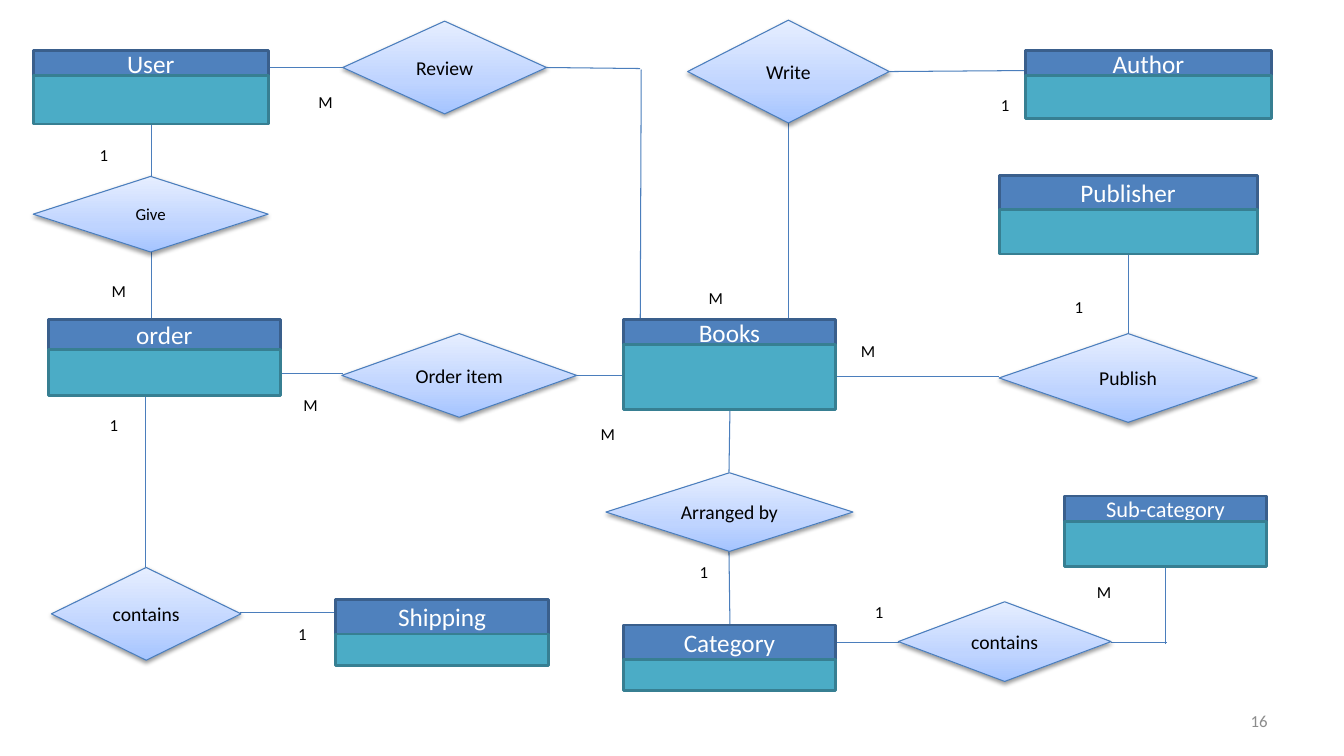
"""Build the bookshop entity-relationship diagram slide."""
from pptx import Presentation
from pptx import util as u
from pptx.dml.color import RGBColor
from pptx.enum import shapes, text
from pptx.oxml import parse_xml
from pptx.oxml.ns import qn

COLORS = {
    "head": "4F81BD", "head_edge": "3A5F8C",
    "body": "4BACC6", "body_edge": "377F92",
    "relation_edge": "4B7EBC", "shadow": "000000",
    "white": "FFFFFF", "black": "000000", "page": "8C8C8C",
}
RELATION_STOPS = {0: "A4C4FF", 35: "BFD4FF", 100: "E6EEFF"}
DRAWING_NS = 'xmlns:a="http://schemas.openxmlformats.org/drawingml/2006/main"'
LEFT, CENTER, RIGHT = text.PP_ALIGN.LEFT, text.PP_ALIGN.CENTER, text.PP_ALIGN.RIGHT

ENTITIES = [
    ("User", (0.33, 0.5, 2.33, 0.73), 0.25, 18),
    ("Books", (6.18, 3.17, 2.11, 0.89), 0.25, 18),
    ("Author", (10.17, 0.5, 2.44, 0.68), 0.25, 18),
    ("Publisher", (9.91, 1.74, 2.56, 0.78), 0.34, 18),
    ("Category", (6.18, 6.2, 2.11, 0.65), 0.34, 18),
    ("Sub-category", (10.56, 4.92, 2, 0.7), 0.25, 16),
    ("order", (0.48, 3.17, 2.3, 0.75), 0.3, 18),
    ("Shipping", (3.33, 5.95, 2.11, 0.65), 0.34, 18),
]
RELATIONS = [
    ("Review", (3.4, 0.21, 2.02, 0.92), 14),
    ("Write", (6.82, 0.2, 2, 1.02), 14),
    ("Publish", (9.91, 3.31, 2.56, 0.88), 14),
    ("Arranged by", (6.01, 4.69, 2.45, 0.78), 14),
    ("contains", (8.91, 5.97, 2.11, 0.79), 14),
    ("Give", (0.33, 1.75, 2.33, 0.75), 12),
    ("Order item", (3.39, 3.31, 2.33, 0.83), 14),
    ("contains", (0.51, 5.63, 1.88, 0.92), 14),
]
CARDINALITIES = [
    ("M", (2.96, 0.93, 0.44, 0.17), RIGHT),
    ("M", (2.91, 3.86, 0.34, 0.31), RIGHT),
    ("1", (10.56, 2.92, 0.56, 0.25), LEFT),
    ("M", (8.44, 3.36, 0.56, 0.25), LEFT),
    ("1", (0.89, 1.41, 0.33, 0.25), LEFT),
    ("1", (9.72, 0.94, 0.39, 0.2), RIGHT),
    ("M", (6.83, 2.87, 0.44, 0.17), RIGHT),
    ("M", (5.86, 4.19, 0.48, 0.23), LEFT),
    ("1", (6.84, 5.52, 0.27, 0.31), LEFT),
    ("M", (10.78, 5.75, 0.44, 0.25), LEFT),
    ("M", (1.01, 2.76, 0.44, 0.25), LEFT),
    ("1", (0.99, 4.09, 0.33, 0.25), LEFT),
    ("1", (2.86, 6.16, 0.33, 0.25), LEFT),
    ("1", (8.58, 5.91, 0.27, 0.31), LEFT),
]
LINKS = [
    (2.66, 0.67, 3.4, 0.67), (5.42, 0.67, 6.35, 0.68), (6.36, 0.69, 6.35, 3.17),
    (1.5, 1.23, 1.5, 1.75), (1.5, 2.5, 1.5, 3.17), (2.78, 3.71, 3.4, 3.71),
    (5.72, 3.73, 6.18, 3.73), (8.29, 3.74, 9.91, 3.74), (11.19, 3.31, 11.19, 2.52),
    (7.82, 1.22, 7.82, 3.17), (8.82, 0.71, 10.17, 0.7), (7.24, 4.06, 7.23, 4.69),
    (7.23, 5.47, 7.24, 6.2), (8.29, 6.37, 8.96, 6.37), (11.02, 6.37, 11.57, 6.37),
    (11.56, 6.39, 11.56, 5.62), (1.44, 3.92, 1.44, 5.66), (2.38, 6.08, 3.33, 6.08),
]


def rgb(name):
    """Return the named colour."""
    return RGBColor.from_string(COLORS[name])


def inches(box):
    """Convert a tuple of lengths to Inches."""
    return [u.Inches(length) for length in box]


def write(shape, words, size, color, align=CENTER):
    """Put one line of formatted words in the middle of a shape."""
    frame = shape.text_frame
    frame.word_wrap = True
    frame.vertical_anchor = text.MSO_ANCHOR.MIDDLE
    line = frame.paragraphs[0]
    line.alignment = align
    run = line.add_run()
    run.text = words
    run.font.color.rgb = rgb(color)
    for key, value in {"name": "Calibri", "size": u.Pt(size)}.items():
        setattr(run.font, key, value)


def panel(slide, box, fill, edge):
    """Add a flat rectangle with a two-point edge."""
    rect = slide.shapes.add_shape(shapes.MSO_SHAPE.RECTANGLE, *inches(box))
    rect.shadow.inherit = False
    rect.fill.solid()
    rect.fill.fore_color.rgb = rgb(fill)
    rect.line.color.rgb = rgb(edge)
    rect.line.width = u.Pt(2)
    return rect


def entity(slide, box, name, head_height, size):
    """Add an entity: a named head above an empty body."""
    left, top, width, height = box
    head = panel(slide, (left, top, width, head_height), "head", "head_edge")
    write(head, name, size, "white")
    body = (left, top + head_height, width, height - head_height)
    panel(slide, body, "body", "body_edge")


def relation(slide, box, name, size):
    """Add a relation: a shaded diamond with a soft shadow."""
    diamond = slide.shapes.add_shape(
        shapes.MSO_SHAPE.FLOWCHART_DECISION, *inches(box))
    stops = "".join(
        f'<a:gs pos="{place * 1000}"><a:srgbClr val="{color}"/></a:gs>'
        for place, color in RELATION_STOPS.items())
    properties = diamond.element.spPr
    properties.find(qn("a:prstGeom")).addnext(parse_xml(
        f'<a:gradFill {DRAWING_NS} rotWithShape="1"><a:gsLst>{stops}</a:gsLst>'
        '<a:lin ang="16200000" scaled="0"/></a:gradFill>'))
    diamond.line.color.rgb = rgb("relation_edge")
    diamond.line.width = u.Pt(0.75)
    diamond.shadow.inherit = False
    properties.find(qn("a:effectLst")).append(parse_xml(
        f'<a:outerShdw {DRAWING_NS} blurRad="{u.Pt(3.1)}" dist="{u.Pt(1.6)}" '
        f'dir="5400000" rotWithShape="0"><a:srgbClr val="{COLORS["shadow"]}">'
        '<a:alpha val="38000"/></a:srgbClr></a:outerShdw>'))
    write(diamond, name, size, "black")


def link(slide, ends):
    """Add a thin straight line between two points."""
    wire = slide.shapes.add_connector(
        shapes.MSO_CONNECTOR.STRAIGHT, *inches(ends))
    wire.line.color.rgb = rgb("relation_edge")
    wire.line.width = u.Pt(0.75)
    wire.element.spPr.append(parse_xml(f"<a:effectLst {DRAWING_NS}/>"))


def cardinality(slide, box, mark, align):
    """Add a one-letter cardinality mark on white."""
    write(panel(slide, box, "white", "white"), mark, 12, "black", align)


def page_number(slide, box, number):
    """Add the page number at the right of its box."""
    write(slide.shapes.add_textbox(*inches(box)), number, 12, "page", RIGHT)


def diagram(slide):
    """Place the marks, links, entities and relations of the diagram."""
    for mark, box, align in CARDINALITIES:
        cardinality(slide, box, mark, align)
    for ends in LINKS:
        link(slide, ends)
    for name, box, head_height, size in ENTITIES:
        entity(slide, box, name, head_height, size)
    for name, box, size in RELATIONS:
        relation(slide, box, name, size)


deck = Presentation()
deck.slide_width, deck.slide_height = inches((13.33, 7.5))
bookshop = deck.slides.add_slide(deck.slide_layouts[6])
diagram(bookshop)
page_number(bookshop, (9.56, 6.95, 3.11, 0.4), "16")
deck.save("out.pptx")
